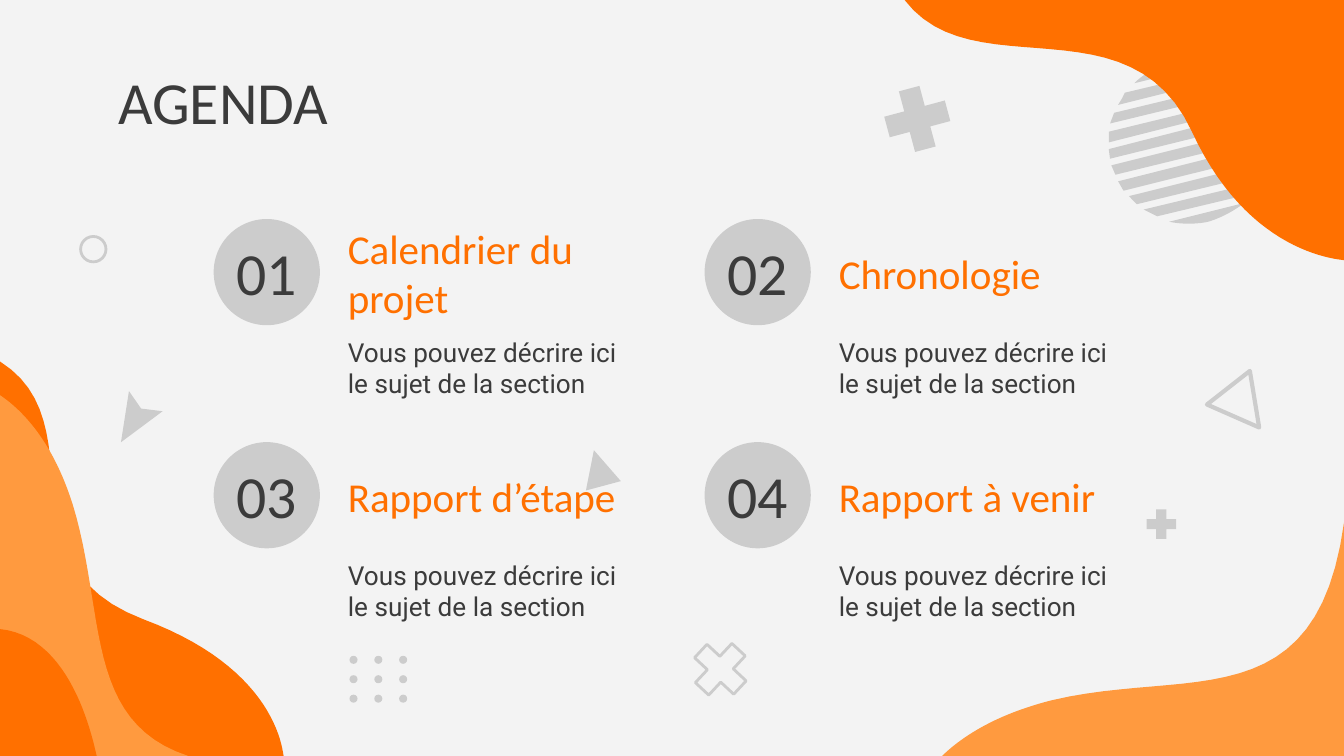
from dataclasses import dataclass

from pptx import Presentation
from pptx.dml.color import RGBColor
from pptx.enum.shapes import MSO_SHAPE as Preset
from pptx.enum.text import MSO_ANCHOR as Anchor, PP_ALIGN as Align
from pptx.util import Pt

ORANGE, APRICOT, GREY, INK, PAPER = "FF7000", "FF9A3F", "CCCCCC", "3B3B3B", "F3F3F3"


@dataclass(frozen=True)
class Outline:
    """A closed outline: two numbers are a line end, six are a Bézier curve."""
    steps: tuple[tuple[float, ...], ...]
    color: str = GREY
    stroke: float = 0


@dataclass(frozen=True)
class Emblem:
    """A preset shape around a centre point."""
    preset: Preset
    x: float
    y: float
    size: float
    turn: float = 0
    stroke: float = 0


@dataclass(frozen=True)
class Style:
    """The look of one kind of text."""
    font: str
    size: float
    color: str
    align: Align = Align.LEFT


@dataclass(frozen=True)
class Section:
    """One agenda entry."""
    number: str
    heading: str


HEADLINE = Style("Calibri", 32, INK)
NUMBER = Style("Calibri", 32, INK, Align.CENTER)
HEADING = Style("Calibri", 22, ORANGE)
DESCRIPTION = Style("Roboto", 14, INK)

STRIPES = (
    Outline(((633.6, 38.2), (630, 33.8), (629.3, 33.8, 627.8, 34.6, 626.4, 34.6),
             (619.2, 36, 612.7, 39.6, 607.7, 44.6))),
    Outline(((639.4, 46.1), (635.8, 41.8), (602.6, 49.7), (601.2, 52.6), (599, 56.2))),
    Outline(((645.1, 54), (641.5, 49.7), (596.9, 60.5), (594.7, 66.2))),
    Outline(((650.9, 61.9), (647.3, 57.6), (594, 70.6), (594, 76.3))),
    Outline(((656.6, 69.8), (653, 64.8), (594, 79.9), (594.7, 85))),
    Outline(((662.4, 77.8), (658.8, 72.7), (595.4, 88.6), (597.6, 93.6))),
    Outline(((668.2, 85.7), (664.6, 80.6), (599, 97.2), (601.9, 102.2))),
    Outline(((673.9, 93.6), (671, 88.6), (604.8, 105.1), (609.1, 109.4))),
    Outline(((673.2, 100.8), (675.4, 97.2), (612.7, 112.3), (619.9, 115.9), (671, 103.7))),
    Outline(((666.7, 108.7), (626.4, 118.8), (632.9, 120.2, 640.8, 120.2, 647.3, 118.8),
             (654.5, 116.6, 661, 113, 666.7, 108.7))),
)
WAVES = (
    Outline(((720, 0), (720, 139.4), (702, 137.5, 663.8, 125.3, 638.6, 70.6),
             (605.5, -1.4, 521.3, 48.2, 484.6, 0)), ORANGE),
    Outline(((0, 405), (151.9, 405), (149.8, 388.8, 136.8, 354.2, 77, 331.9),
             (-1.4, 302.4, 52.6, 226.8, 0, 193.7)), ORANGE),
    Outline(((0, 405), (100.8, 405), (44.6, 386.6, 56.9, 328.3, 38.9, 270),
             (28.8, 238.3, 13.7, 221, 0, 211.7)), APRICOT),
    Outline(((51.8, 405), (47.5, 385.2, 34.6, 340.6, 0, 337), (0, 405)), ORANGE),
    Outline(((720, 405), (720, 280), (705.6, 385.9, 636.5, 357.8, 563.8, 375.1),
             (535, 382.3, 516.2, 393.8, 504.7, 405)), APRICOT),
)
ARROW = Outline(((75.6, 218.9), (69.1, 209.5), (64.8, 236.9), (87.1, 220.3)))
OPEN_TRIANGLE = Outline(((674.6, 229), (669.6, 198.7), (646.6, 216.7)), stroke=2.25)
TRIANGLE = Outline(((318.2, 241.2), (313.9, 262.8), (332.6, 257.8)))

RING = Emblem(Preset.OVAL, 50, 133.5, 13.6, stroke=1.5)
DOTS = tuple(Emblem(Preset.OVAL, 189.4 + 13.3 * column, 353.5 + 10.4 * row, 4.3)
             for row in range(3) for column in range(3))
OPEN_CROSS = Emblem(Preset.CROSS, 385.9, 358.6, 28.7, 43, 1.5)
SMALL_PLUS = Emblem(Preset.CROSS, 622.1, 280.8, 15.8)
BIG_PLUS = Emblem(Preset.CROSS, 491.4, 63.7, 33.6, -15)

SECTIONS = (
    Section("01", "Calendrier du projet"),
    Section("02", "Chronologie"),
    Section("03", "Rapport d’étape"),
    Section("04", "Rapport à venir"),
)
SUBJECT = "Vous pouvez décrire ici le sujet de la section"
COLUMN_STEP, ROW_STEP = 263, 119.5


def rgb(color: str) -> RGBColor:
    """Turn a hex string into a colour."""
    return RGBColor.from_string(color)


def paint(shape, color: str, stroke: float) -> None:
    """Fill the shape, or only stroke it when a stroke width is given."""
    shape.shadow.inherit = False
    if stroke:
        shape.fill.background()
        shape.line.color.rgb = rgb(color)
        shape.line.width = Pt(stroke)
    else:
        shape.fill.solid()
        shape.fill.fore_color.rgb = rgb(color)
        shape.line.fill.background()


def flatten(steps: tuple[tuple[float, ...], ...], parts: int = 24) -> list[tuple[float, float]]:
    """Turn lines and curves into a list of points."""
    points = [steps[0]]
    for step in steps[1:]:
        if len(step) == 2:
            points.append(step)
            continue
        controls = (points[-1], step[:2], step[2:4], step[4:])
        for part in range(1, parts + 1):
            t = part / parts
            weights = ((1 - t) ** 3, 3 * t * (1 - t) ** 2, 3 * t * t * (1 - t), t ** 3)
            points.append(tuple(sum(w * c[axis] for w, c in zip(weights, controls))
                                for axis in (0, 1)))
    return points


def draw_outline(slide, outline: Outline) -> None:
    """Draw a closed freeform."""
    points = [(Pt(x), Pt(y)) for x, y in flatten(outline.steps)]
    builder = slide.shapes.build_freeform(*points[0])
    builder.add_line_segments(points[1:], close=True)
    paint(builder.convert_to_shape(), outline.color, outline.stroke)


def draw_emblem(slide, emblem: Emblem) -> None:
    """Draw a preset shape around its centre."""
    half = emblem.size / 2
    shape = slide.shapes.add_shape(emblem.preset, Pt(emblem.x - half), Pt(emblem.y - half),
                                   Pt(emblem.size), Pt(emblem.size))
    if emblem.preset == Preset.CROSS:
        shape.adjustments[0] = 0.33
    shape.rotation = emblem.turn
    paint(shape, GREY, emblem.stroke)


def write(slide, text: str, style: Style, x: float, y: float, width: float, height: float) -> None:
    """Add a vertically centred text box."""
    frame = slide.shapes.add_textbox(Pt(x), Pt(y), Pt(width), Pt(height)).text_frame
    frame.word_wrap = True
    frame.vertical_anchor = Anchor.MIDDLE
    frame.margin_left = frame.margin_right = frame.margin_top = frame.margin_bottom = Pt(7.2)
    paragraph = frame.paragraphs[0]
    paragraph.alignment = style.align
    run = paragraph.add_run()
    run.text = text
    run.font.name = style.font
    run.font.size = Pt(style.size)
    run.font.color.rgb = rgb(style.color)


def draw_section(slide, section: Section, x: float, y: float) -> None:
    """Draw a numbered disc with its heading and description."""
    draw_emblem(slide, Emblem(Preset.OVAL, x + 31.3, y + 19.1, 56.9))
    write(slide, SUBJECT, DESCRIPTION, x + 67.7, y + 38.9, 165.6, 62.6)
    write(slide, section.heading, HEADING, x + 67.7, y, 163.4, 38.9)
    write(slide, section.number, NUMBER, x, y, 62.6, 37.4)


def main() -> None:
    """Build the agenda slide."""
    deck = Presentation()
    deck.slide_width, deck.slide_height = Pt(720), Pt(405)
    slide = deck.slides.add_slide(deck.slide_layouts[6])
    slide.background.fill.solid()
    slide.background.fill.fore_color.rgb = rgb(PAPER)
    for outline in (*STRIPES, *WAVES, ARROW, OPEN_TRIANGLE):
        draw_outline(slide, outline)
    for emblem in (RING, *DOTS, OPEN_CROSS):
        draw_emblem(slide, emblem)
    write(slide, "AGENDA", HEADLINE, 56.2, 35.3, 607, 37.4)
    for index, section in enumerate(SECTIONS):
        row, column = divmod(index, 2)
        draw_section(slide, section, 111.6 + column * COLUMN_STEP, 126.7 + row * ROW_STEP)
    draw_outline(slide, TRIANGLE)
    for plus in (SMALL_PLUS, BIG_PLUS):
        draw_emblem(slide, plus)
    deck.save("out.pptx")


if __name__ == "__main__":
    main()
